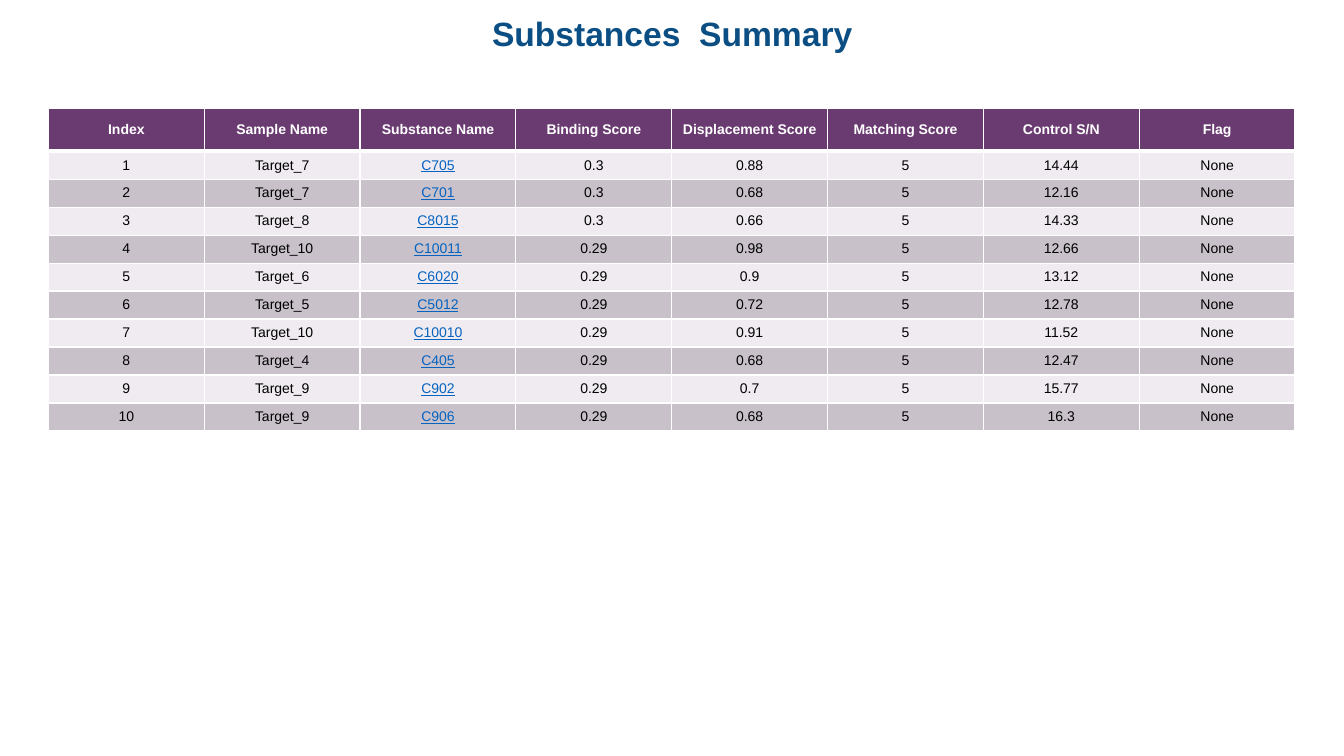
from lxml import etree
from pptx import Presentation
from pptx import util as u
from pptx.dml.color import RGBColor
from pptx.enum import text
from pptx.oxml.ns import qn

FONT = "Arial"
WHITE, BLACK, BLUE, LINK = "FFFFFF", "000000", "0B4E83", "0563C1"
HEADER_FILL, ROW_FILLS = "6A3B71", ("EFEBF0", "C8C1C9")
LINK_COLUMN = 2
HEADERS = ("Index", "Sample Name", "Substance Name", "Binding Score",
           "Displacement Score", "Matching Score", "Control S/N", "Flag")
SUBSTANCES = (
    ("Target_7", "C705", "0.3", "0.88", "5", "14.44", "None"),
    ("Target_7", "C701", "0.3", "0.68", "5", "12.16", "None"),
    ("Target_8", "C8015", "0.3", "0.66", "5", "14.33", "None"),
    ("Target_10", "C10011", "0.29", "0.98", "5", "12.66", "None"),
    ("Target_6", "C6020", "0.29", "0.9", "5", "13.12", "None"),
    ("Target_5", "C5012", "0.29", "0.72", "5", "12.78", "None"),
    ("Target_10", "C10010", "0.29", "0.91", "5", "11.52", "None"),
    ("Target_4", "C405", "0.29", "0.68", "5", "12.47", "None"),
    ("Target_9", "C902", "0.29", "0.7", "5", "15.77", "None"),
    ("Target_9", "C906", "0.29", "0.68", "5", "16.3", "None"),
)


def color(value):
    return RGBColor.from_string(value)


def add_run(frame, words, size, font_color, bold=False, underline=False):
    paragraph = frame.paragraphs[0]
    paragraph.alignment = text.PP_ALIGN.CENTER
    run = paragraph.add_run()
    run.text = words
    run.font.name = FONT
    run.font.size = u.Pt(size)
    run.font.bold = bold
    run.font.underline = underline
    run.font.color.rgb = color(font_color)


def set_title(slide, words):
    title = slide.shapes.title
    title.left, title.top = u.Cm(1.22), u.Cm(0.18)
    title.width, title.height = u.Cm(31.44), u.Cm(1.32)
    frame = title.text_frame
    frame.auto_size = text.MSO_AUTO_SIZE.NONE
    frame.vertical_anchor = text.MSO_ANCHOR.MIDDLE
    frame.word_wrap = False
    add_run(frame, words, 24, BLUE, bold=True)


def add_borders(cell, top, bottom):
    properties = cell._tc.get_or_add_tcPr()
    for side, width in (("L", 1), ("R", 1), ("T", top), ("B", bottom)):
        line = etree.SubElement(properties, qn(f"a:ln{side}"), w=str(u.Pt(width)))
        fill = etree.SubElement(line, qn("a:solidFill"))
        etree.SubElement(fill, qn("a:srgbClr"), val=WHITE)


def format_cell(cell, fill_color, top=1, bottom=1):
    add_borders(cell, top, bottom)
    cell.fill.solid()
    cell.fill.fore_color.rgb = color(fill_color)
    cell.vertical_anchor = text.MSO_ANCHOR.MIDDLE
    cell.margin_left = cell.margin_right = 0
    cell.margin_top = cell.margin_bottom = 0


def add_substance_table(slide):
    header_height, body_height = u.Cm(1.07), u.Cm(7.05)
    table = slide.shapes.add_table(
        len(SUBSTANCES) + 1, len(HEADERS), u.Cm(1.22), u.Cm(2.74),
        u.Cm(31.42), header_height + body_height).table
    for row in table.rows:
        row.height = body_height // len(SUBSTANCES)
    table.rows[0].height = header_height

    for column, heading in enumerate(HEADERS):
        cell = table.cell(0, column)
        format_cell(cell, HEADER_FILL, bottom=3)
        add_run(cell.text_frame, heading, 10, WHITE, bold=True)

    for index, substance in enumerate(SUBSTANCES, 1):
        for column, value in enumerate((str(index), *substance)):
            cell = table.cell(index, column)
            format_cell(cell, ROW_FILLS[(index - 1) % 2], top=3 if index == 1 else 1)
            is_link = column == LINK_COLUMN
            add_run(cell.text_frame, value, 10, LINK if is_link else BLACK,
                    underline=is_link)


def main():
    presentation = Presentation()
    presentation.slide_width = u.Cm(33.87)
    presentation.slide_height = u.Cm(19.05)
    slide = presentation.slides.add_slide(presentation.slide_layouts[5])
    set_title(slide, "Substances  Summary")
    add_substance_table(slide)
    presentation.save("out.pptx")


if __name__ == "__main__":
    main()
